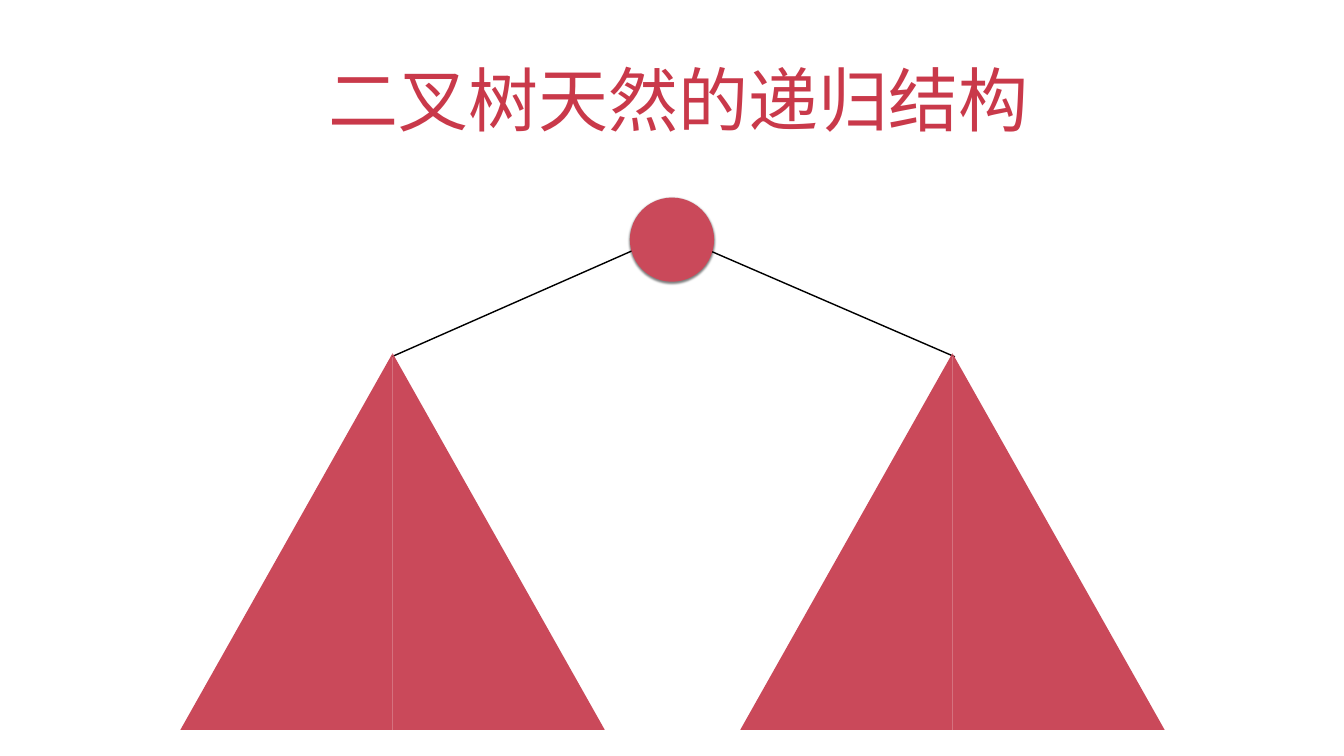
from dataclasses import dataclass

from lxml.etree import SubElement
from pptx import Presentation
from pptx.dml.color import RGBColor
from pptx.enum.shapes import MSO_CONNECTOR, MSO_SHAPE
from pptx.enum.text import MSO_ANCHOR, PP_ALIGN
from pptx.oxml.ns import qn
from pptx.slide import Slide
from pptx.util import Inches, Pt


@dataclass(frozen=True)
class Theme:
    title_color: RGBColor = RGBColor(0xC9, 0x39, 0x4A)
    node_color: RGBColor = RGBColor(0xCA, 0x49, 0x5A)
    edge_color: RGBColor = RGBColor(0x00, 0x00, 0x00)
    font_name: str = "Arial"
    title_size: int = 100
    edge_width: int = 2


@dataclass(frozen=True)
class Point:
    x: float
    y: float


@dataclass(frozen=True)
class Subtree:
    apex: Point
    edge_start: Point
    edge_end: Point


THEME = Theme()
SLIDE_WIDTH, SLIDE_HEIGHT = 26.67, 15
CENTER = SLIDE_WIDTH / 2
ROOT_TOP, ROOT_DIAMETER = 3.92, 1.67
HALF_BASE, SUBTREE_HEIGHT = 4.21, 7.47
APEX_Y, EDGE_TOP, EDGE_BOTTOM = 7.01, 4.67, 7.08
SUBTREES = (
    Subtree(Point(18.9, APEX_Y), Point(18.95, EDGE_BOTTOM), Point(13.38, EDGE_TOP)),
    Subtree(Point(7.79, APEX_Y), Point(7.77, EDGE_BOTTOM), Point(13.24, EDGE_TOP)),
)


def add_title(slide: Slide, text: str) -> None:
    width = 22.78
    box = slide.shapes.add_textbox(
        Inches(CENTER - width / 2), Inches(0.62), Inches(width), Inches(2.22))
    frame = box.text_frame
    frame.word_wrap = True
    frame.vertical_anchor = MSO_ANCHOR.BOTTOM
    frame.margin_left = frame.margin_right = Inches(0.06)
    frame.margin_top = frame.margin_bottom = Inches(0.06)
    paragraph = frame.paragraphs[0]
    paragraph.alignment = PP_ALIGN.CENTER
    properties = paragraph._p.get_or_add_pPr()
    properties.set("marL", "0")
    properties.set("indent", str(Inches(0.25)))
    run = paragraph.add_run()
    run.text = text
    run.font.name = THEME.font_name
    run.font.size = Pt(THEME.title_size)
    run.font.color.rgb = THEME.title_color


def add_edge(slide: Slide, start: Point, end: Point) -> None:
    edge = slide.shapes.add_connector(
        MSO_CONNECTOR.STRAIGHT,
        Inches(start.x), Inches(start.y), Inches(end.x), Inches(end.y))
    edge.line.color.rgb = THEME.edge_color
    edge.line.width = Pt(THEME.edge_width)
    SubElement(edge._element.spPr, qn("a:effectLst"))


def fill_node(shape) -> None:
    shape.shadow.inherit = False
    shape.fill.solid()
    shape.fill.fore_color.rgb = THEME.node_color
    shape.line.fill.background()


def add_root(slide: Slide) -> None:
    root = slide.shapes.add_shape(
        MSO_SHAPE.OVAL, Inches(CENTER - ROOT_DIAMETER / 2), Inches(ROOT_TOP),
        Inches(ROOT_DIAMETER), Inches(ROOT_DIAMETER))
    fill_node(root)
    # Soft shadow straight below the circle
    effects = root._element.spPr.find(qn("a:effectLst"))
    shadow = SubElement(effects, qn("a:outerShdw"), blurRad=str(Pt(3)),
                        dist=str(Pt(2)), dir="5400000", rotWithShape="0")
    color = SubElement(shadow, qn("a:srgbClr"), val="000000")
    SubElement(color, qn("a:alpha"), val="50000")


def add_half_triangle(slide: Slide, apex: Point, direction: int) -> None:
    base_y = apex.y + SUBTREE_HEIGHT
    builder = slide.shapes.build_freeform(Inches(apex.x), Inches(apex.y))
    builder.add_line_segments([
        (Inches(apex.x), Inches(base_y)),
        (Inches(apex.x + direction * HALF_BASE), Inches(base_y)),
    ], close=True)
    fill_node(builder.convert_to_shape())


def main() -> None:
    presentation = Presentation()
    presentation.slide_width = Inches(SLIDE_WIDTH)
    presentation.slide_height = Inches(SLIDE_HEIGHT)
    slide = presentation.slides.add_slide(presentation.slide_layouts[6])

    # Heading
    add_title(slide, "二叉树天然的递归结构")

    # Edges lie behind the root
    for subtree in SUBTREES:
        add_edge(slide, subtree.edge_start, subtree.edge_end)
    add_root(slide)

    # Each subtree is a left and a right half
    for subtree in SUBTREES:
        for direction in (-1, 1):
            add_half_triangle(slide, subtree.apex, direction)

    presentation.save("out.pptx")


if __name__ == "__main__":
    main()
